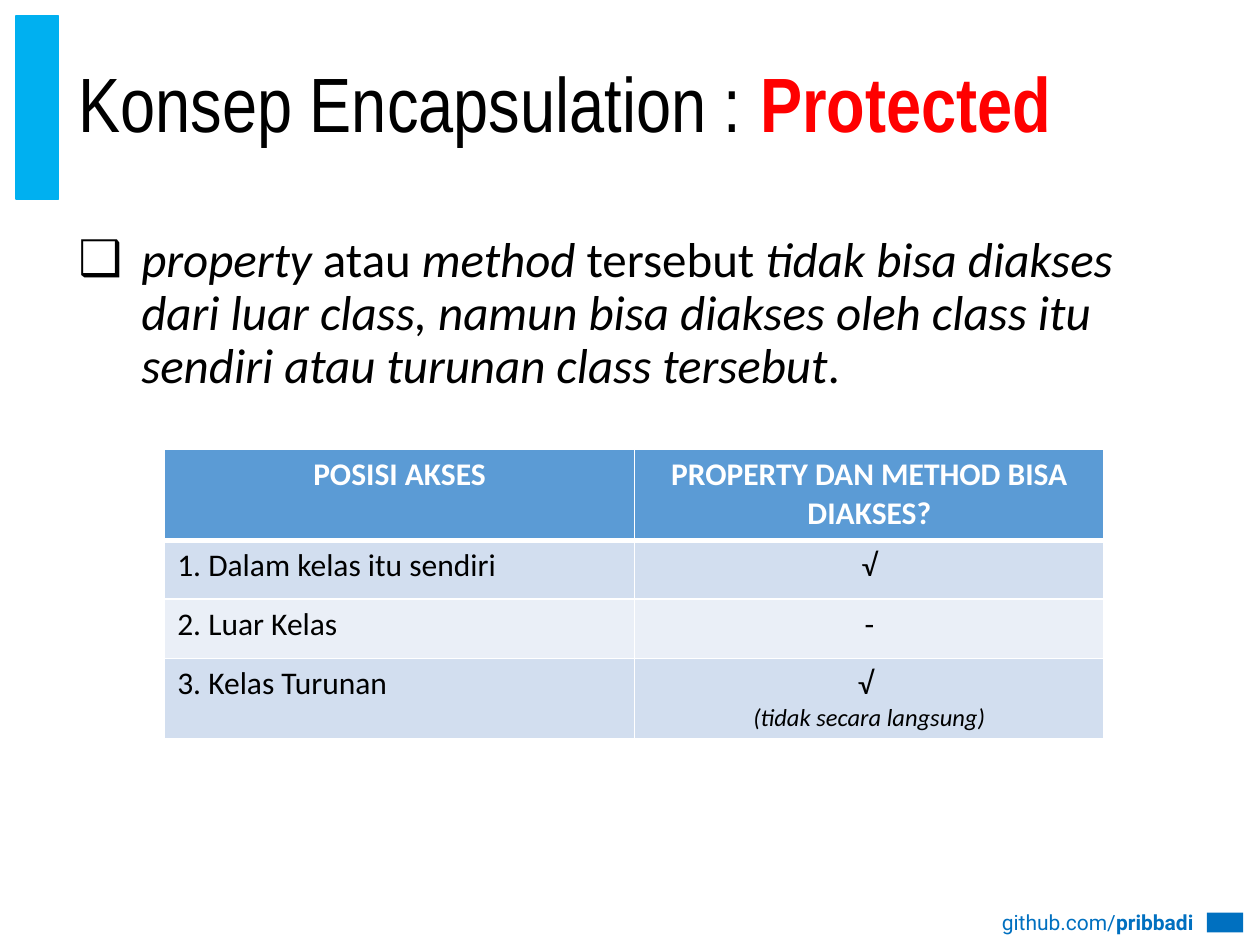
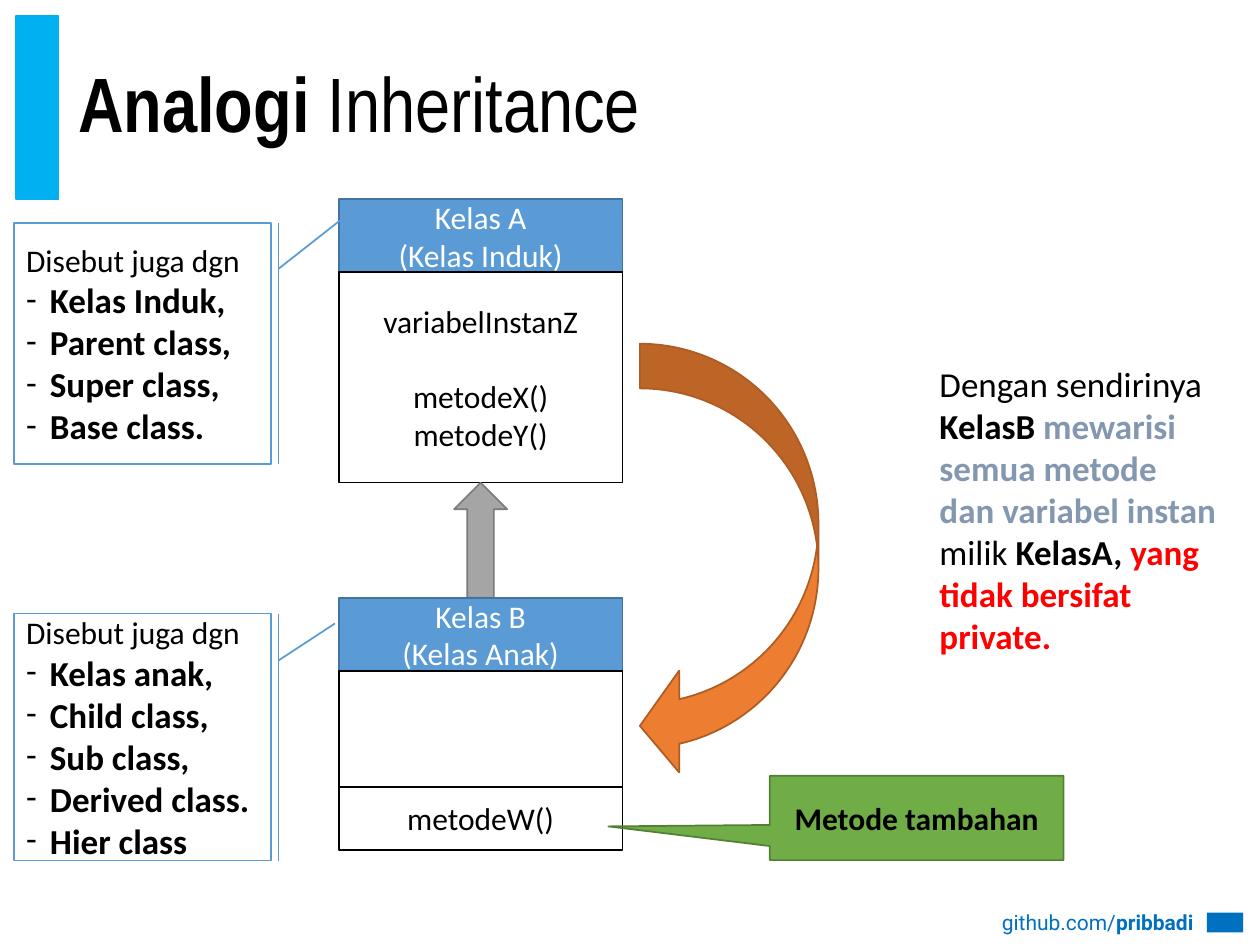
from dataclasses import dataclass
from typing import NamedTuple

from lxml import etree
from pptx import Presentation
from pptx.dml.color import RGBColor
from pptx.enum.shapes import MSO_SHAPE
from pptx.enum.text import MSO_ANCHOR, PP_ALIGN
from pptx.oxml.ns import qn
from pptx.util import Cm, Pt

RECTANGLE = MSO_SHAPE.RECTANGLE
UP_ARROW = MSO_SHAPE.UP_ARROW
CURVED_ARROW = MSO_SHAPE.CURVED_LEFT_ARROW
WEDGE_CALLOUT = MSO_SHAPE.RECTANGULAR_CALLOUT
LINE_CALLOUT = MSO_SHAPE.LINE_CALLOUT_1_BORDER_AND_ACCENT_BAR
LEFT, CENTER, RIGHT = PP_ALIGN.LEFT, PP_ALIGN.CENTER, PP_ALIGN.RIGHT
TOP, MIDDLE = MSO_ANCHOR.TOP, MSO_ANCHOR.MIDDLE


@dataclass(frozen=True)
class Theme:
    black: str = "000000"
    white: str = "FFFFFF"
    red: str = "FF0000"
    bar: str = "00B0F0"
    link: str = "0070C0"
    blue: str = "5B9BD5"
    blue_edge: str = "43739E"
    gray: str = "A5A5A5"
    gray_edge: str = "7A7A7A"
    orange: str = "ED7D31"
    orange_edge: str = "AF5C24"
    green: str = "70AD47"
    green_edge: str = "538035"
    slate: str = "8497B0"
    band_dark: str = "D2DEEF"
    band_light: str = "EAEFF7"
    title_font: str = "Arial Narrow"
    body_font: str = "Calibri"
    footer_font: str = "Roboto"
    title_size: int = 44
    body_size: int = 28
    list_size: int = 20
    label_size: int = 18
    note_size: int = 14
    footer_size: int = 12


THEME = Theme()


class Box(NamedTuple):
    left: float
    top: float
    width: float
    height: float


class Run(NamedTuple):
    text: str
    size: int = THEME.label_size
    color: str = THEME.black
    bold: bool = False
    italic: bool = False
    font: str = THEME.body_font


@dataclass
class Paragraph:
    runs: list[Run]
    align: PP_ALIGN = LEFT
    bullet: str = ""
    indent: float = 0
    line_spacing: float = 1.0
    space_before: float = 0


@dataclass
class Figure:
    kind: MSO_SHAPE
    box: Box
    fill: str
    edge: str = ""
    paragraphs: tuple[Paragraph, ...] = ()
    adjustments: tuple[float, ...] = ()
    flipped: bool = False


# Text and drawing helpers
def rgb(color: str) -> RGBColor:
    return RGBColor.from_string(color)


def lengths(box: Box) -> list[Cm]:
    return [Cm(value) for value in box]


def write(frame, paragraphs, anchor=TOP) -> None:
    frame.word_wrap = True
    frame.vertical_anchor = anchor
    for index, item in enumerate(paragraphs):
        paragraph = frame.add_paragraph() if index else frame.paragraphs[0]
        if item.bullet:
            properties = paragraph._p.get_or_add_pPr()
            properties.set("marL", str(Cm(item.indent)))
            properties.set("indent", str(-Cm(item.indent)))
            etree.SubElement(properties, qn("a:buFont"), typeface=THEME.body_font)
            etree.SubElement(properties, qn("a:buChar"), char=item.bullet)
        paragraph.alignment = item.align
        paragraph.line_spacing = item.line_spacing
        if item.space_before:
            paragraph.space_before = Pt(item.space_before)
        for piece in item.runs:
            run = paragraph.add_run()
            run.text = piece.text
            run.font.size = Pt(piece.size)
            run.font.name = piece.font
            run.font.bold = piece.bold
            run.font.italic = piece.italic
            run.font.color.rgb = rgb(piece.color)


def add_text(slide, box: Box, paragraphs, anchor=TOP) -> None:
    write(slide.shapes.add_textbox(*lengths(box)).text_frame, paragraphs, anchor)


def add_figure(slide, figure: Figure):
    shape = slide.shapes.add_shape(figure.kind, *lengths(figure.box))
    shape.shadow.inherit = False
    shape.fill.solid()
    shape.fill.fore_color.rgb = rgb(figure.fill)
    if figure.edge:
        shape.line.color.rgb = rgb(figure.edge)
        shape.line.width = Pt(1)
    else:
        shape.line.fill.background()
    for index, value in enumerate(figure.adjustments):
        shape.adjustments[index] = value
    if figure.flipped:
        shape._element.spPr.find(qn("a:xfrm")).set("flipH", "1")
    write(shape.text_frame, figure.paragraphs, MIDDLE)
    return shape


def centered(*lines: str, color: str = THEME.black) -> tuple[Paragraph, ...]:
    return tuple(Paragraph([Run(line, color=color)], CENTER) for line in lines)


# Shared side bar, title and footer
def title_run(text: str, color: str = THEME.black, bold: bool = False) -> Run:
    return Run(text, THEME.title_size, color, bold, font=THEME.title_font)


def add_base_slide(presentation, title_runs: list[Run]):
    slide = presentation.slides.add_slide(presentation.slide_layouts[6])
    footer_runs = [Run(text, THEME.footer_size, THEME.link, bold, font=THEME.footer_font)
                   for text, bold in (("github.com/", False), ("pribbadi", True))]
    footer = add_figure(slide, Figure(RECTANGLE, Box(20.07, 18.16, 4.24, 0.84), THEME.white,
                                      paragraphs=(Paragraph(footer_runs, RIGHT),)))
    footer.text_frame.margin_left = 0
    add_figure(slide, Figure(RECTANGLE, Box(24.33, 18.4, 0.73, 0.4), THEME.link))
    add_figure(slide, Figure(RECTANGLE, Box(0.32, 0.32, 0.86, 3.7), THEME.bar, THEME.bar))
    add_text(slide, Box(1.33, 0.33, 23.11, 3.68),
             [Paragraph(title_runs, line_spacing=0.9)], MIDDLE)
    return slide


# Slide 1: protected access
def set_borders(cell, bottom_width: float) -> None:
    properties = cell._tc.get_or_add_tcPr()
    for side in "LRTB":
        width = bottom_width if side == "B" else 1
        line = etree.SubElement(properties, qn(f"a:ln{side}"), w=str(Pt(width)))
        fill = etree.SubElement(line, qn("a:solidFill"))
        etree.SubElement(fill, qn("a:srgbClr"), val=THEME.white)


def add_access_table(slide) -> None:
    headings = ("POSISI AKSES", "PROPERTY DAN METHOD BISA DIAKSES?")
    heading_cells = [[Paragraph([Run(text, color=THEME.white, bold=True)], CENTER)]
                     for text in headings]
    note = Paragraph([Run("(tidak secara langsung)", THEME.note_size, italic=True)], CENTER)
    answers = (
        ("1. Dalam kelas itu sendiri", centered("√")),
        ("2. Luar Kelas", centered("-")),
        ("3. Kelas Turunan", [*centered("√ "), note]),
    )
    rows = [heading_cells]
    rows += [[[Paragraph([Run(position)])], answer] for position, answer in answers]
    fills = (THEME.blue, THEME.band_dark, THEME.band_light, THEME.band_dark)
    heights = (1.83, 1.19, 1.19, 1.62)
    column_width = 9.47

    box = Box(3.32, 9.06, 2 * column_width, sum(heights))
    table = slide.shapes.add_table(len(rows), 2, *lengths(box)).table
    for column in table.columns:
        column.width = Cm(column_width)
    for row_index, row in enumerate(rows):
        table.rows[row_index].height = Cm(heights[row_index])
        for column_index, paragraphs in enumerate(row):
            cell = table.cell(row_index, column_index)
            set_borders(cell, 1 if row_index else 3)
            cell.fill.solid()
            cell.fill.fore_color.rgb = rgb(fills[row_index])
            write(cell.text_frame, paragraphs)


def build_protected_slide(presentation) -> None:
    slide = add_base_slide(presentation, [title_run("Konsep Encapsulation : "),
                                          title_run("Protected", THEME.red, True)])
    pieces = (
        ("property ", True), ("atau ", False), ("method ", True), ("tersebut ", False),
        ("tidak bisa diakses dari luar class, namun bisa diakses oleh class itu "
         "sendiri atau turunan class tersebut", True),
        (".", False),
    )
    runs = [Run(text, THEME.body_size, italic=italic) for text, italic in pieces]
    add_text(slide, Box(1.33, 4.61, 23.11, 13.49),
             [Paragraph(runs, bullet="❑", indent=1.27, line_spacing=0.9)])
    add_access_table(slide)


# Slide 2: inheritance analogy
def add_class_diagram(slide) -> None:
    left, width, arrow_width = 6.83, 5.72, 1.07
    members = centered("variabelInstanZ", "metodeX()", "metodeY()")
    members[1].space_before = 21.6
    head = (RECTANGLE, 1.48, THEME.blue, THEME.blue_edge)
    body = (THEME.white, THEME.black)
    parts = (
        (*head, centered("Kelas A", "(Kelas Induk)", color=THEME.white)),
        (RECTANGLE, 4.24, *body, members),
        (UP_ARROW, 2.32, THEME.gray, THEME.gray_edge, ()),
        (*head, centered("Kelas B", "(Kelas Anak)", color=THEME.white)),
        (RECTANGLE, 2.33, *body, ()),
        (RECTANGLE, 1.27, *body, centered("metodeW()")),
    )
    top = 4.01
    for kind, height, fill, edge, paragraphs in parts:
        part_width = arrow_width if kind == UP_ARROW else width
        box = Box(left + (width - part_width) / 2, top, part_width, height)
        add_figure(slide, Figure(kind, box, fill, edge, paragraphs))
        top += height


def add_synonyms(slide, top: float, height: float, names: tuple[str, ...],
                 pointer: tuple[float, float]) -> None:
    items = [Paragraph([Run(name, THEME.list_size, bold=True)], bullet="-", indent=0.48)
             for name in names]
    paragraphs = (Paragraph([Run("Disebut juga dgn")]), *items)
    add_figure(slide, Figure(LINE_CALLOUT, Box(0.28, top, 5.18, height), THEME.white,
                             THEME.blue, paragraphs, (0.19, -0.03, *pointer), flipped=True))


def build_inheritance_slide(presentation) -> None:
    slide = add_base_slide(presentation, [title_run("Analogi ", bold=True),
                                          title_run("Inheritance")])
    add_class_diagram(slide)
    add_figure(slide, Figure(CURVED_ARROW, Box(12.9, 6.93, 3.6, 8.73), THEME.orange,
                             THEME.orange_edge, adjustments=(0.25, 0.57, 0.22)))

    pieces = (
        ("Dengan sendirinya ", THEME.black, False),
        ("KelasB ", THEME.black, True),
        ("mewarisi semua metode dan variabel instan ", THEME.slate, True),
        ("milik ", THEME.black, False),
        ("KelasA, ", THEME.black, True),
        ("yang tidak bersifat private.", THEME.red, True),
    )
    runs = [Run(text, THEME.list_size, color, bold) for text, color, bold in pieces]
    add_text(slide, Box(18.69, 7.19, 6.12, 6.25), [Paragraph(runs)])

    extra = Paragraph([Run("Metode tambahan", bold=True)], CENTER)
    add_figure(slide, Figure(WEDGE_CALLOUT, Box(15.52, 15.64, 5.92, 1.7), THEME.green,
                             THEME.green_edge, (extra,), (-1.05, 0.1)))
    add_synonyms(slide, 4.5, 4.85,
                 ("Kelas Induk,", "Parent class,", "Super class,", "Base class."),
                 (-0.02, -0.28))
    add_synonyms(slide, 12.37, 4.98,
                 ("Kelas anak,", "Child class,", "Sub class,", "Derived class.", "Hier class"),
                 (0.04, -0.25))


def main() -> None:
    presentation = Presentation()
    presentation.slide_width, presentation.slide_height = Cm(25.4), Cm(19.05)
    build_protected_slide(presentation)
    build_inheritance_slide(presentation)
    presentation.save("out.pptx")


if __name__ == "__main__":
    main()
